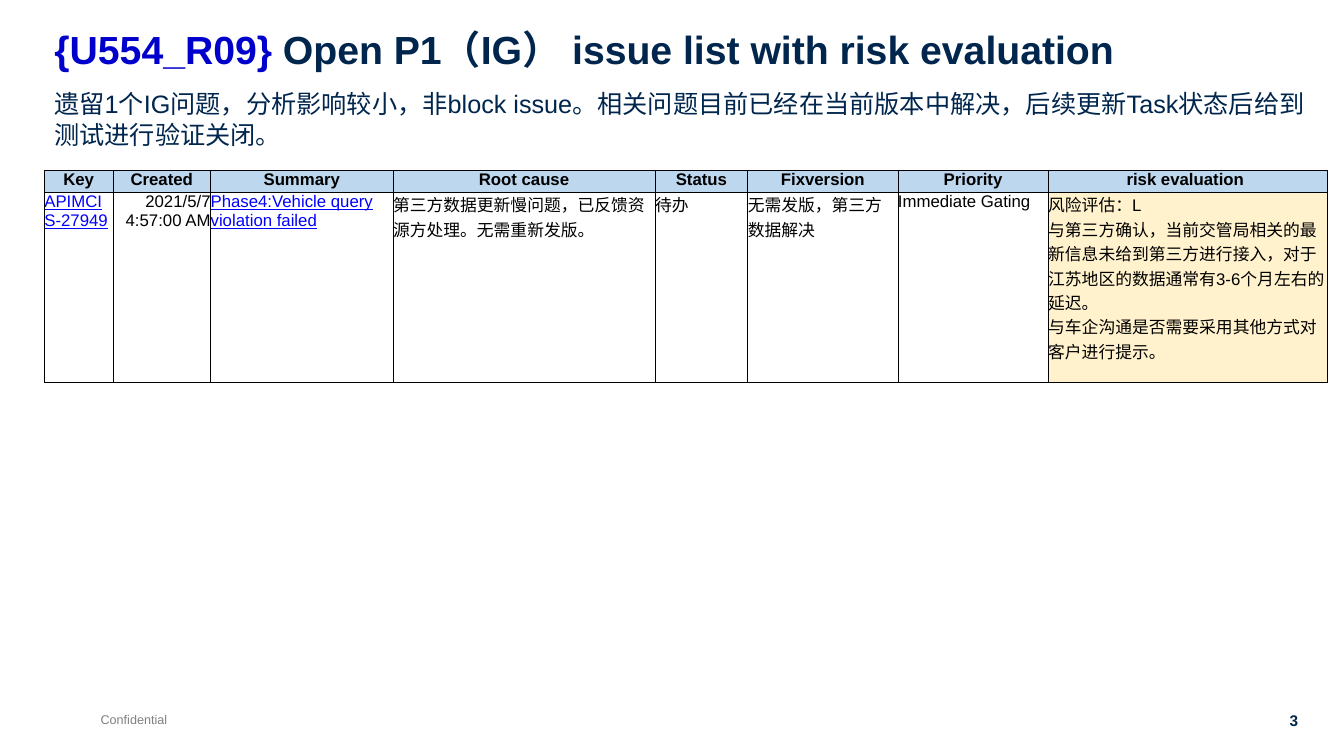
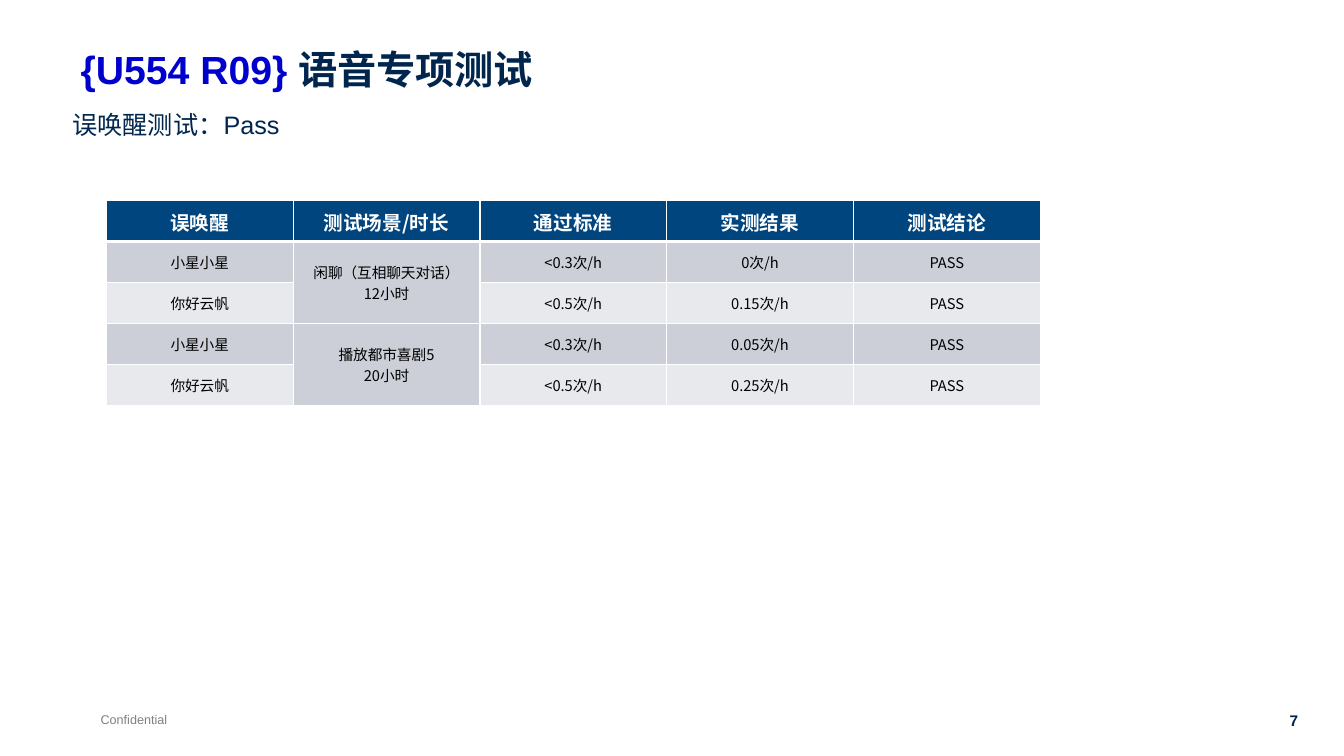
from dataclasses import dataclass

from lxml import etree
from pptx import Presentation
from pptx.dml.color import RGBColor
from pptx.enum.text import MSO_ANCHOR, MSO_AUTO_SIZE, PP_ALIGN
from pptx.oxml.ns import qn
from pptx.util import Pt

LEFT, CENTER, RIGHT = PP_ALIGN.LEFT, PP_ALIGN.CENTER, PP_ALIGN.RIGHT
TOP, MIDDLE = MSO_ANCHOR.TOP, MSO_ANCHOR.MIDDLE
NO_FIT = MSO_AUTO_SIZE.NONE
TITLE_ONLY = 5


@dataclass(frozen=True)
class Theme:
    latin: str = "Arial"
    chinese: str = "Noto Sans CJK SC"
    navy: str = "00264E"
    release: str = "0000CC"
    grey: str = "808080"
    black: str = "000000"
    white: str = "FFFFFF"
    link: str = "0000FF"
    issue_header: str = "BDD7EE"
    risk: str = "FFF2CC"
    test_header: str = "00457E"
    band_dark: str = "CCCFD8"
    band_light: str = "E7E9EC"
    title_size: float = 28
    subtitle_size: float = 18
    test_header_size: float = 14
    issue_size: float = 12
    page_number_size: float = 11
    test_size: float = 10.5
    footer_size: float = 9


THEME = Theme()


def add_span(para, text, size, color, latin=THEME.latin, east_asian=THEME.latin, **format_values):
    span = para.add_run()
    span.text = text
    values = {"size": Pt(size), "name": latin, **format_values}
    for name, value in values.items():
        setattr(span.font, name, value)
    span.font.color.rgb = RGBColor.from_string(color)
    etree.SubElement(span._r.get_or_add_rPr(), qn("a:ea"), typeface=east_asian)


def set_frame(frame, **format_values):
    for name, value in format_values.items():
        setattr(frame, name, value)


def add_text(page, text, left, top, width, height, size, color, align=LEFT, wrap=True, bold=False):
    box = page.shapes.add_textbox(Pt(left), Pt(top), Pt(width), Pt(height))
    set_frame(box.text_frame, word_wrap=wrap, vertical_anchor=TOP)
    para = box.text_frame.paragraphs[0]
    para.alignment = align
    add_span(para, text, size, color, bold=bold)


def add_title(page, release, text, left, top):
    title = page.shapes.title
    place = {"left": left, "top": top, "width": 853.2, "height": 45.4}
    for name, value in place.items():
        setattr(title, name, Pt(value))
    set_frame(title.text_frame, word_wrap=True, vertical_anchor=MIDDLE, auto_size=NO_FIT)
    para = title.text_frame.paragraphs[0]
    para.alignment = LEFT
    para.line_spacing = 0.9
    for words, color in ((release + " ", THEME.release), (text, THEME.navy)):
        add_span(para, words, THEME.title_size, color, bold=True)


def add_page(deck, number, release, title, left, top):
    page = deck.slides.add_slide(deck.slide_layouts[TITLE_ONLY])
    add_title(page, release, title, left, top)
    add_text(page, "Confidential", 64.8, 504.7, 62.6, 18, THEME.footer_size, THEME.grey, wrap=False)
    add_text(page, str(number), 906.5, 504.7, 28, 21, THEME.page_number_size, THEME.navy,
             align=RIGHT, wrap=False, bold=True)
    return page


def add_subtitle(page, text, left, top, width):
    add_text(page, text, left, top, width, 51, THEME.subtitle_size, THEME.navy)


def add_grid(page, left, top, widths, heights):
    frame = page.shapes.add_table(len(heights), len(widths), Pt(left), Pt(top),
                                  Pt(sum(widths)), Pt(sum(heights)))
    table = frame.table
    table.first_row = table.horz_banding = False
    for column, width in zip(table.columns, widths):
        column.width = Pt(width)
    for row, height in zip(table.rows, heights):
        row.height = Pt(height)
    return table


def set_borders(cell, color, width, **side_widths):
    properties = cell._tc.get_or_add_tcPr()
    for index, side in enumerate("LRTB"):
        line = etree.Element(qn("a:ln" + side), w=str(Pt(side_widths.get(side, width))))
        fill = etree.SubElement(line, qn("a:solidFill"))
        etree.SubElement(fill, qn("a:srgbClr"), val=color)
        properties.insert(index, line)


def fill_cell(cell, paragraphs, fill, align, anchor, margins, **span_format):
    cell.vertical_anchor = anchor
    for side, margin in zip(("left", "top", "right", "bottom"), margins):
        setattr(cell, "margin_" + side, Pt(margin))
    if fill:
        cell.fill.solid()
        cell.fill.fore_color.rgb = RGBColor.from_string(fill)
    else:
        cell.fill.background()
    frame = cell.text_frame
    for index, text in enumerate(paragraphs):
        para = frame.add_paragraph() if index else frame.paragraphs[0]
        para.alignment = align
        for number, line in enumerate(text.split("\n")):
            if number:
                para.add_line_break()
            add_span(para, line, **span_format)


def add_issue_table(page, columns):
    table = add_grid(page, 31.7, 121.7, [column[0] for column in columns], [15.8, 135.7])
    text_format = {"size": THEME.issue_size, "east_asian": THEME.chinese}
    cell_format = {"anchor": TOP, "margins": (0, 0, 0, 0)}
    for index, (_, header, paragraphs, align, color, fill) in enumerate(columns):
        fill_cell(table.cell(0, index), [header], THEME.issue_header, CENTER,
                  color=THEME.black, bold=True, **cell_format, **text_format)
        fill_cell(table.cell(1, index), paragraphs, fill, align, color=color,
                  underline=color == THEME.link, **cell_format, **text_format)
    for cell in table.iter_cells():
        set_borders(cell, THEME.black, 0.5)


def add_test_table(page, headers, rows):
    table = add_grid(page, 76, 143.4, [133.4] * len(headers), [29.2] * (len(rows) + 1))
    for row, texts in enumerate([headers, *rows]):
        if row == 0:
            fill, color, size = THEME.test_header, THEME.white, THEME.test_header_size
        else:
            fill = THEME.band_dark if row % 2 else THEME.band_light
            color, size = THEME.black, THEME.test_size
        thick = {0: {"B": 3}, 1: {"T": 3}}.get(row, {})
        for column, text in enumerate(texts):
            cell = table.cell(row, column)
            fill_cell(cell, [text] if text else [], fill, CENTER, MIDDLE, (0.7, 0.7, 0.7, 0),
                      size=size, color=color, bold=row == 0,
                      latin=THEME.chinese, east_asian=THEME.chinese)
            set_borders(cell, THEME.white, 1, **thick)
    for row in range(1, len(rows), 2):
        table.cell(row, 1).merge(table.cell(row + 1, 1))


def add_issue_page(deck):
    page = add_page(deck, 3, "{U554_R09}", "Open P1（IG） issue list with risk evaluation", 31.7, 14.4)
    add_issue_table(page, [
        (49, "Key", ["APIMCIS-27949"], LEFT, THEME.link, None),
        (69.8, "Created", ["2021/5/7 4:57:00 AM"], RIGHT, THEME.black, None),
        (130.3, "Summary", ["Phase4:Vehicle query violation failed"], LEFT, THEME.link, None),
        (187.2, "Root cause", ["第三方数据更新慢问题，已反馈资源方处理。无需重新发版。"],
         LEFT, THEME.black, None),
        (66.2, "Status", ["待办"], LEFT, THEME.black, None),
        (107.3, "Fixversion", ["无需发版，第三方数据解决"], LEFT, THEME.black, None),
        (107.3, "Priority", ["Immediate Gating"], LEFT, THEME.black, None),
        (199.3, "risk evaluation ", [
            "风险评估：L",
            "与第三方确认，当前交管局相关的最新信息未给到第三方进行接入，"
            "对于江苏地区的数据通常有3-6个月左右的延迟。",
            "与车企沟通是否需要采用其他方式对客户进行提示。",
        ], LEFT, THEME.black, THEME.risk),
    ])
    add_subtitle(page, "遗留1个IG问题，分析影响较小，非block issue。相关问题目前已经在当前版本中解决，"
                       "后续更新Task状态后给到测试进行验证关闭。", 31.7, 59.8, 907.9)


def add_voice_page(deck):
    page = add_page(deck, 7, "{U554 R09}", "语音专项测试", 50.4, 28.8)
    add_subtitle(page, "误唤醒测试：Pass", 44.6, 74.2, 311)
    add_test_table(page, ["误唤醒", "测试场景/时长", "通过标准", "实测结果", "测试结论"], [
        ["小星小星", "闲聊（互相聊天对话）\n12小时", "<0.3次/h", "0次/h", "PASS"],
        ["你好云帆", "", "<0.5次/h", "0.15次/h", "PASS"],
        ["小星小星", "播放都市喜剧5\n20小时", "<0.3次/h", "0.05次/h", "PASS"],
        ["你好云帆", "", "<0.5次/h", "0.25次/h", "PASS"],
    ])


def main():
    deck = Presentation()
    deck.slide_width, deck.slide_height = Pt(960), Pt(540)
    add_issue_page(deck)
    add_voice_page(deck)
    deck.save("out.pptx")


if __name__ == "__main__":
    main()
